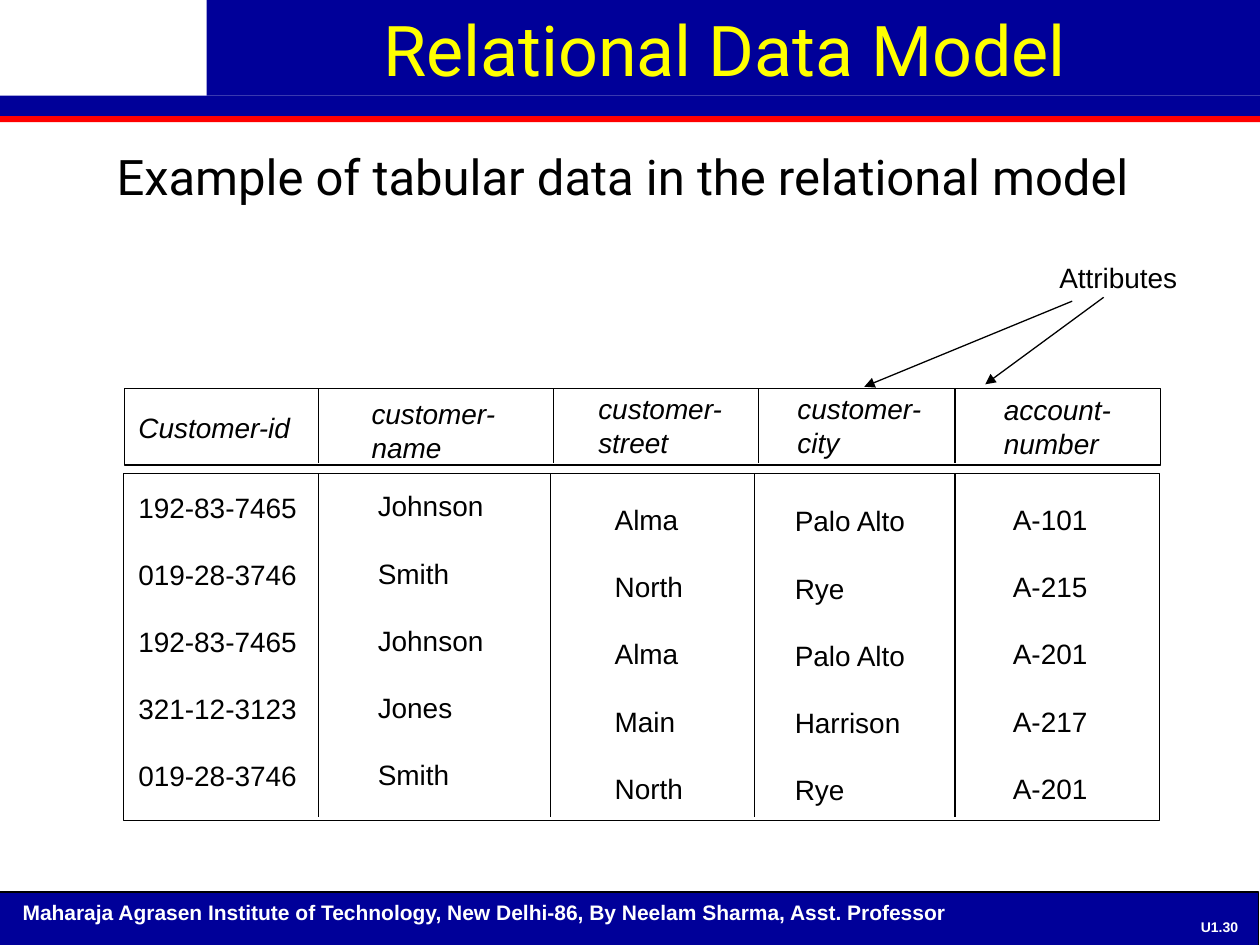
"""Build a slide that shows customer data in the relational model."""
import pptx
import pptx.util
import pptx.dml.color
import pptx.enum.shapes
import pptx.enum.text
import pptx.oxml
import pptx.oxml.ns

Pt = pptx.util.Pt
ALIGN = pptx.enum.text.PP_ALIGN
ANCHOR = pptx.enum.text.MSO_ANCHOR
BLACK, WHITE, NAVY, RED, YELLOW = "000000", "FFFFFF", "000099", "FF0000", "FFFF00"


def rgb(code):
    return pptx.dml.color.RGBColor.from_string(code)


class Deck:
    """Hold the style and the current slide."""

    font, head, size, weight = "Arial", "Roboto", 16, 0.75

    def __init__(self, wide, high):
        self.show = pptx.Presentation()
        self.show.slide_width, self.show.slide_height = Pt(wide), Pt(high)
        self.slide = self.show.slides.add_slide(self.show.slide_layouts[5])
        self.shapes = self.slide.shapes

    def style(self, frame, text, font, size, color, bold=False, slant=False,
              align=ALIGN.LEFT, lead=None, gap=0):
        frame.text = text
        frame.vertical_anchor = ANCHOR.TOP
        for para in frame.paragraphs:
            para.alignment = align
            para.space_before, para.space_after = Pt(0), Pt(gap)
            if lead:
                para.line_spacing = Pt(lead)
            for run in para.runs:
                run.font.name, run.font.size = font, Pt(size)
                run.font.bold, run.font.italic = bold, slant
                run.font.color.rgb = rgb(color)

    def title(self, text, left, top, wide, high):
        item = self.shapes.title
        item.left, item.top, item.width, item.height = map(Pt, (left, top, wide, high))
        self.shapes._spTree.append(item._element)
        item.text_frame.auto_size = pptx.enum.text.MSO_AUTO_SIZE.NONE
        self.style(item.text_frame, text, self.head, 40, YELLOW, align=ALIGN.CENTER)

    def text(self, text, left, top, wide, high, font=None, size=None,
             color=BLACK, wrap=False, **look):
        item = self.shapes.add_textbox(*map(Pt, (left, top, wide, high)))
        item.text_frame.word_wrap = wrap
        self.style(item.text_frame, text, font or self.font, size or self.size,
                   color, **look)

    def rect(self, left, top, wide, high, fill, line=None):
        kind = pptx.enum.shapes.MSO_SHAPE.RECTANGLE
        item = self.shapes.add_shape(kind, *map(Pt, (left, top, wide, high)))
        item.shadow.inherit = False
        item.fill.solid()
        item.fill.fore_color.rgb = rgb(fill)
        if line:
            item.line.color.rgb = rgb(line)
            item.line.width = Pt(self.weight)
        else:
            item.line.fill.background()

    def line(self, x1, y1, x2, y2, arrow=False):
        kind = pptx.enum.shapes.MSO_CONNECTOR.STRAIGHT
        item = self.shapes.add_connector(kind, *map(Pt, (x1, y1, x2, y2)))
        item.line.color.rgb = rgb(BLACK)
        item.line.width = Pt(self.weight)
        space = pptx.oxml.ns.nsdecls("a")
        if arrow:
            item.line._get_or_add_ln().append(
                pptx.oxml.parse_xml(f'<a:tailEnd {space} type="triangle"/>'))
        item._element.spPr.append(pptx.oxml.parse_xml(f"<a:effectLst {space}/>"))


HEADS = [
    ("Customer-id", 72, 231, 101.5),
    ("customer-\nname", 205.2, 223.2, 85.7),
    ("customer-\nstreet", 334.8, 220.3, 85.7),
    ("customer-\ncity", 448.6, 220.3, 85.7),
    ("account-\nnumber", 566.6, 221, 75.6),
]
COLS = [
    (72, 276.5, 105.1),
    (208.8, 275.8, 74.9),
    (344.2, 283.7, 53.3),
    (447.1, 284.4, 78.5),
    (571.7, 283.7, 56.9),
]
ROWS = [
    ("192-83-7465", "Johnson", "Alma", "Palo Alto", "A-101"),
    ("019-28-3746", "Smith", "North", "Rye", "A-215"),
    ("192-83-7465", "Johnson", "Alma", "Palo Alto", "A-201"),
    ("321-12-3123", "Jones", "Main", "Harrison", "A-217"),
    ("019-28-3746", "Smith", "North", "Rye", "A-201"),
]
LEAD = 19.2


def main():
    deck = Deck(720, 540)
    deck.rect(0, 66.2, 720, 3.6, RED)
    deck.rect(118, 0, 602, 54.7, NAVY)
    deck.rect(0, 54.7, 720, 11.5, NAVY)
    deck.rect(-0.7, 509.8, 720, 31, NAVY, BLACK)
    deck.text("Maharaja Agrasen Institute of Technology, New Delhi-86, "
              "By Neelam Sharma, Asst. Professor", 5.8, 510.5, 682.6, 21.6,
              size=12, color=WHITE, bold=True, wrap=True)
    deck.text("U1.30", 678.2, 521.5, 37.4, 16, size=8, color=WHITE, bold=True,
              align=ALIGN.CENTER)
    deck.title("Relational Data Model", 108, 0, 612, 63.4)
    deck.text("Example of tabular data in the relational model", 49.7, 79.9,
              612, 51.1, font=deck.head, size=28, wrap=True, align=ALIGN.CENTER)

    deck.rect(71.3, 221.8, 591.8, 43.9, WHITE, BLACK)
    deck.rect(70.6, 270.7, 591.8, 198, WHITE, BLACK)
    for x in (182.2, 316.1, 433.4, 545.8):
        deck.line(x, 222.5, x, 264.5)
    for x in (182.2, 314.6, 431.3, 545.8):
        deck.line(x, 271, x, 467)
    for name, left, top, wide in HEADS:
        high = 7.2 + LEAD * len(name.split("\n"))
        deck.text(name, left, top, wide, high, slant=True, lead=LEAD)
    for (left, top, wide), cells in zip(COLS, zip(*ROWS)):
        deck.text("\n".join(cells), left, top, wide, 180.7, lead=LEAD, gap=LEAD)

    deck.text("Attributes", 598.3, 145.4, 82.1, 26.6)
    deck.line(630.7, 169.9, 563, 219.6, arrow=True)
    deck.line(612.7, 172.1, 493.9, 221, arrow=True)
    deck.show.save("out.pptx")


if __name__ == "__main__":
    main()
